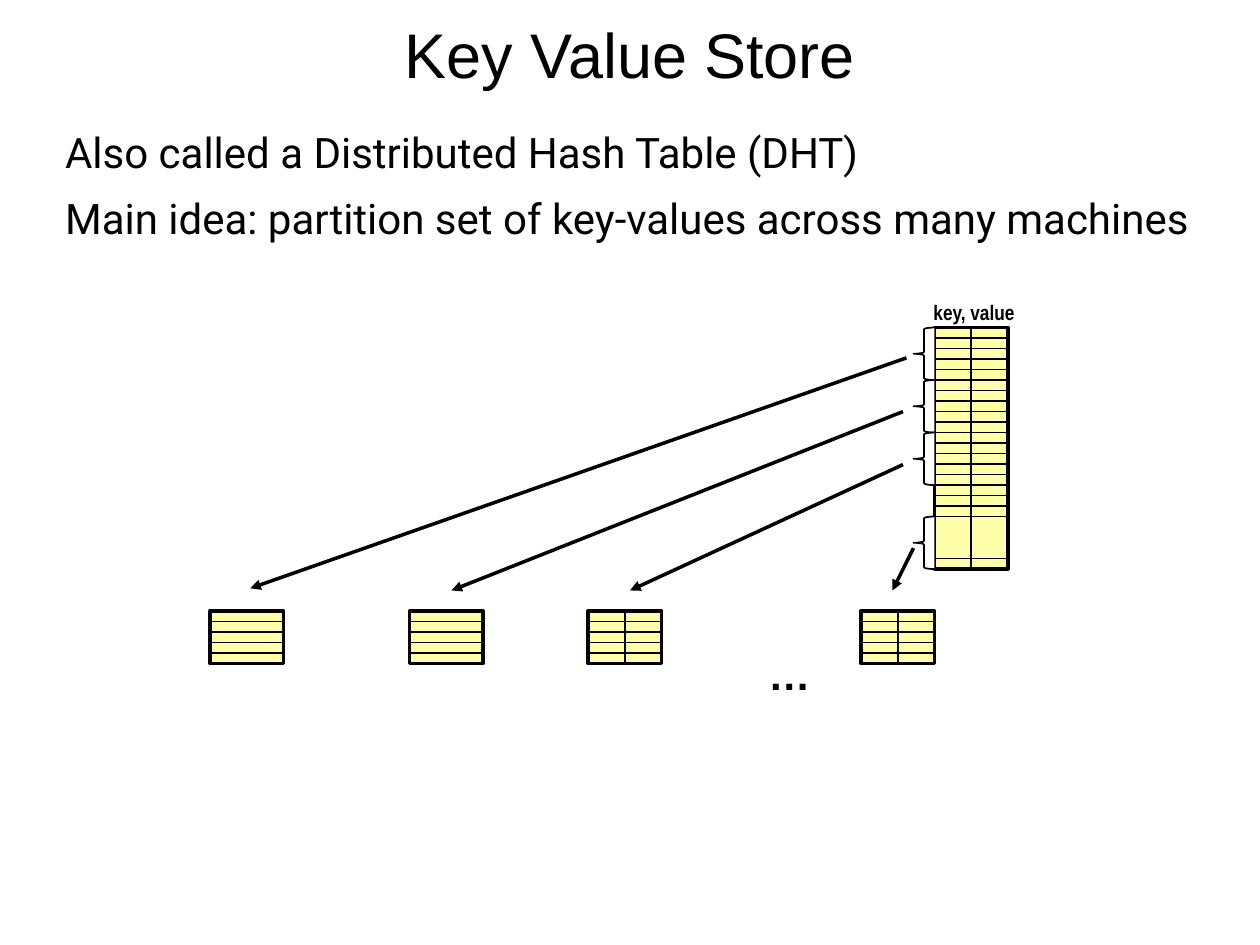
"""Build the Key Value Store slide."""
from lxml import etree
from pptx import Presentation
from pptx import util as u
from pptx.dml.color import RGBColor
from pptx.enum import shapes, text
from pptx.oxml.ns import qn

COLORS = {"ink": "000000", "cell": "FFFFAA", "paper": "FFFFFF"}
ROW, TABLE_W, CHUNK = 6, 42, 5
STORE_X, STORE_Y, STORE_ROWS = 534, 187.2, 23
NODE_Y = 349.2


def write(p, content, size=12, font="Arial", bold=False, align=None, spacing=None, before=None):
    if align is not None:
        p.alignment = align
    if spacing is not None:
        p.line_spacing = spacing
    if before is not None:
        p.space_before = u.Pt(before)
    r = p.add_run()
    r.text = content
    r.font.size, r.font.name, r.font.bold = u.Pt(size), font, bold
    r.font.color.rgb = RGBColor.from_string(COLORS["ink"])


class Deck:
    def __init__(self, prs):
        self.s = prs.slides.add_slide(prs.slide_layouts[1])

    def place(self, sp, x, y, w, h, anchor):
        sp.left, sp.top, sp.width, sp.height = map(u.Pt, (x, y, w, h))
        tf = sp.text_frame
        tf.word_wrap, tf.auto_size = True, text.MSO_AUTO_SIZE.NONE
        tf.vertical_anchor = anchor
        return tf

    def title(self, content):
        tf = self.place(self.s.shapes.title, 78, 12, 564, 42, text.MSO_ANCHOR.MIDDLE)
        write(tf.paragraphs[0], content, size=36, align=text.PP_ALIGN.CENTER, spacing=0.9)

    def body(self, lines):
        tf = self.place(self.s.placeholders[1], 30, 72, 660, 120, text.MSO_ANCHOR.TOP)
        for i, line in enumerate(lines):
            p = tf.add_paragraph() if i else tf.paragraphs[0]
            pPr = p._p.get_or_add_pPr()
            pPr.set("marL", "0")
            pPr.set("indent", "0")
            etree.SubElement(pPr, qn("a:buNone"))
            write(p, line, size=24, font="Roboto", spacing=1 if i else 0.9, before=8.4 if i else 0)

    def label(self, content, x, y, w, h, **fmt):
        tf = self.s.shapes.add_textbox(*map(u.Pt, (x, y, w, h))).text_frame
        tf.word_wrap, tf.auto_size = False, text.MSO_AUTO_SIZE.SHAPE_TO_FIT_TEXT
        write(tf.paragraphs[0], content, **fmt)

    def shape(self, kind, x, y, w, h, fill, width, parent=None):
        sp = (parent or self.s).shapes.add_shape(kind, *map(u.Pt, (x, y, w, h)))
        sp.shadow.inherit = False
        sp.fill.solid()
        sp.fill.fore_color.rgb = RGBColor.from_string(COLORS[fill])
        sp.line.color.rgb = RGBColor.from_string(COLORS["ink"])
        sp.line.width = u.Pt(width)
        return sp

    def line(self, x1, y1, x2, y2, width=1, arrow=False, parent=None):
        c = (parent or self.s).shapes.add_connector(
            shapes.MSO_CONNECTOR.STRAIGHT, *map(u.Pt, (x1, y1, x2, y2)))
        c.line.color.rgb = RGBColor.from_string(COLORS["ink"])
        c.line.width = u.Pt(width)
        if arrow:
            etree.SubElement(c.line._get_or_add_ln(), qn("a:tailEnd"), type="triangle")
        etree.SubElement(c._element.spPr, qn("a:effectLst"))
        return c

    def grid(self, x, y, rows, rules, divided=True):
        grp = self.s.shapes.add_group_shape()
        box = self.shape(shapes.MSO_SHAPE.RECTANGLE, x, y, TABLE_W, rows * ROW, "cell", 2, grp)
        if divided:
            mid = x + TABLE_W / 2
            c = self.line(mid, y, mid, y + rows * ROW, parent=grp)
            c.begin_connect(box, 0)
            c.end_connect(box, 2)
        for k in rules:
            self.line(x, y + k * ROW, x + TABLE_W, y + k * ROW, parent=grp)

    def brace(self, row):
        sp = self.shape(shapes.MSO_SHAPE.LEFT_BRACE, STORE_X - 12, STORE_Y + row * ROW,
                        12, CHUNK * ROW, "paper", 1)
        sp.adjustments[0], sp.adjustments[1] = 0.083, 0.5


def main():
    prs = Presentation()
    prs.slide_width, prs.slide_height = u.Pt(720), u.Pt(540)
    deck = Deck(prs)
    deck.title("Key Value Store")
    deck.body(["Also called a Distributed Hash Table (DHT)",
               "Main idea: partition set of key-values across many machines"])
    deck.grid(STORE_X, STORE_Y, STORE_ROWS, [*range(1, 19), 22])
    for x, first_rule, divided in [(492, 1, True), (120, 0, False), (234, 0, False), (336, 0, True)]:
        deck.grid(x, NODE_Y, CHUNK, range(first_rule, CHUNK), divided)
    for row in (0, 5, 10, 18):
        deck.brace(row)
    deck.label("key, value", 526.3, 167.8, 61.2, 21.6, font="Arial Narrow", bold=True)
    for ends in [(518, 204.5, 143, 336.2), (516, 235.2, 258, 337.4),
                 (516, 265.5, 360, 337.4), (522, 313.2, 510, 337.4)]:
        deck.line(*ends, width=2, arrow=True)
    deck.label("…", 432, 367.2, 38.9, 36.7, size=24, bold=True)
    prs.save("out.pptx")


if __name__ == "__main__":
    main()
